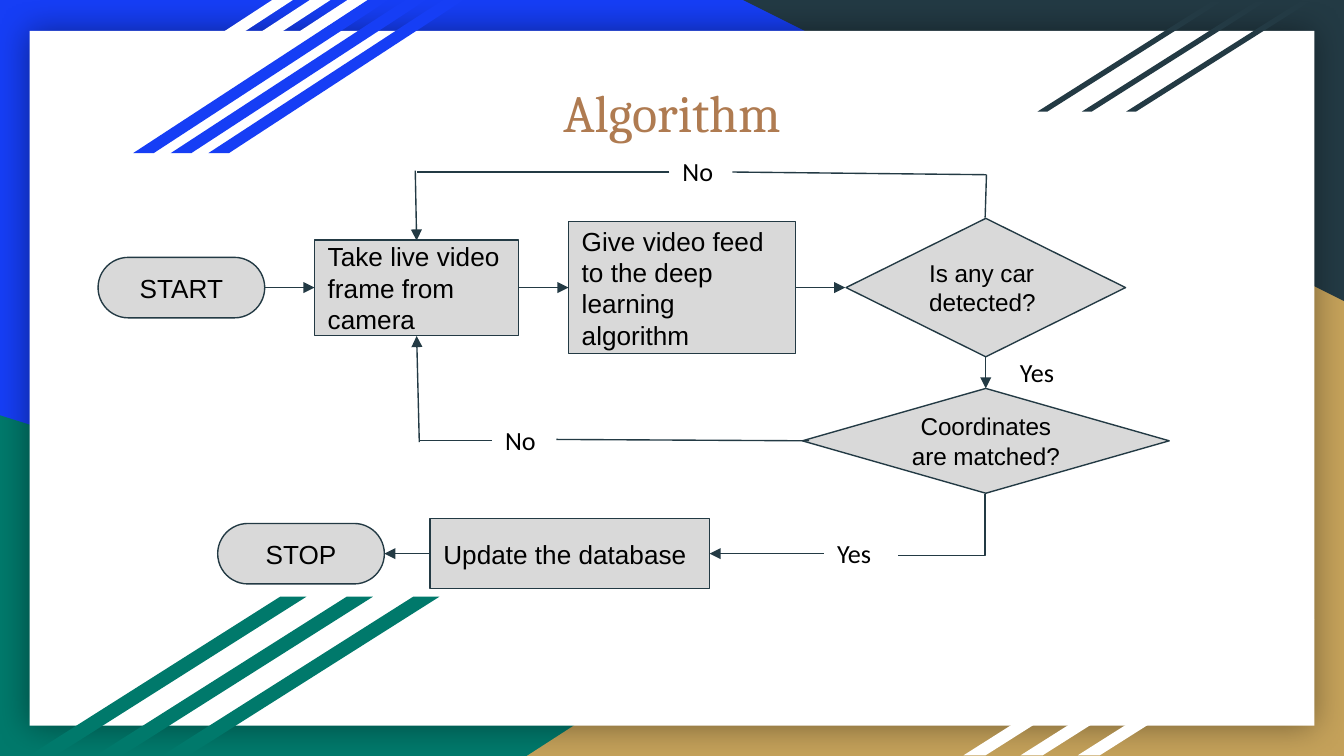
from dataclasses import dataclass

from lxml.etree import SubElement
from pptx import Presentation
from pptx.dml.color import RGBColor
from pptx.enum.shapes import MSO_CONNECTOR, MSO_SHAPE
from pptx.enum.text import MSO_ANCHOR, MSO_AUTO_SIZE, PP_ALIGN
from pptx.oxml.ns import qn
from pptx.shapes.autoshape import Shape
from pptx.shapes.connector import Connector
from pptx.slide import Slide
from pptx.text.text import TextFrame
from pptx.util import Inches, Pt

# Every length is in columns or rows of a square grid, 100 columns wide
COLUMN = Inches(10) // 100
COLUMNS, ROWS = 100, 56.25

COLORS = {
    "blue": "163EF5",
    "green": "00796B",
    "gold": "C4A15A",
    "slate": "233A44",
    "white": "FFFFFF",
    "gray": "D9D9D9",
    "brown": "AF7B51",
    "black": "000000",
}

MAIN_ROW, CHECK_ROW, LAST_ROW = 21.4, 32.8, 41.2
CAMERA_X, DECISION_X = 31.0, 73.35


@dataclass
class Box:
    left: float
    top: float
    width: float
    height: float


@dataclass
class Stripes:
    first: Box
    step: float
    slant: float
    color: str


@dataclass
class Node:
    text: str
    kind: MSO_SHAPE
    center_x: float
    center_y: float
    width: float
    height: float
    size: int = 14
    align: PP_ALIGN = PP_ALIGN.LEFT


@dataclass
class Link:
    start: tuple[float, float]
    end: tuple[float, float]
    arrow: bool = True


@dataclass
class Label:
    text: str
    left: float
    top: float
    width: float


STRIPES = [
    Stripes(Box(2.8, 0, 19, 11.4), 2.8, 1.532, "white"),
    Stripes(Box(9.9, 0, 19, 11.4), 2.8, 1.532, "blue"),
    Stripes(Box(77.2, 0.1, 13.7, 8.2), 3.3, 1.58, "slate"),
    Stripes(Box(71.7, 46.1, 17.6, 10.1), 4.25, 1.58, "white"),
    Stripes(Box(2.2, 44.4, 20.6, 11.8), 4.95, 1.58, "green"),
]

NODES = [
    Node("START", MSO_SHAPE.ROUNDED_RECTANGLE, 13.5, MAIN_ROW, 12.4, 4.5, align=PP_ALIGN.CENTER),
    Node("Take live video frame from camera", MSO_SHAPE.RECTANGLE, CAMERA_X, MAIN_ROW, 15.2, 7.1),
    Node("Give video feed to the deep learning algorithm", MSO_SHAPE.RECTANGLE, 50.75, MAIN_ROW, 16.9, 9.8),
    Node("Is any car detected?", MSO_SHAPE.DIAMOND, DECISION_X, MAIN_ROW, 20.8, 10.3, 13),
    Node("Coordinates are matched?", MSO_SHAPE.DIAMOND, DECISION_X, CHECK_ROW, 27.3, 7.8, 13, PP_ALIGN.CENTER),
    Node("Update the database", MSO_SHAPE.RECTANGLE, 42.4, LAST_ROW, 20.8, 5.2),
    Node("STOP", MSO_SHAPE.ROUNDED_RECTANGLE, 22.4, LAST_ROW, 12.4, 4.5, align=PP_ALIGN.CENTER),
]

LINKS = [
    # Forward flow
    Link((19.7, MAIN_ROW), (23.4, MAIN_ROW)),
    Link((38.6, MAIN_ROW), (42.3, MAIN_ROW)),
    Link((59.2, MAIN_ROW), (62.9, MAIN_ROW)),
    Link((DECISION_X, 26.6), (DECISION_X, 28.9)),
    Link((61.3, LAST_ROW), (52.8, LAST_ROW)),
    Link((32, LAST_ROW), (28.6, LAST_ROW)),
    # Upper loop, no car
    Link((73.3, 16.2), (73.4, 13), arrow=False),
    Link((73.4, 13), (54.5, 12.8), arrow=False),
    Link((49.8, 12.8), (31, 12.8), arrow=False),
    Link((30.9, 12.7), (31, 17.9)),
    # Lower loop, no match
    Link((60.2, 32.8), (41.4, 32.7), arrow=False),
    Link((36.6, 32.8), (31.2, 32.8), arrow=False),
    Link((31.2, 32.9), (31, 25)),
]

LABELS = [
    Label("No", 49.8, 10.6, 4.7),
    Label("No", 36.6, 30.6, 4.7),
    Label("Yes", 61.3, 39, 5.2),
    Label("Yes", 74.9, 25.5, 5.2),
]


def grid(count: float) -> int:
    return round(count * COLUMN)


def color(name: str) -> RGBColor:
    return RGBColor.from_string(COLORS[name])


def corners(box: Box) -> tuple[int, int, int, int]:
    return grid(box.left), grid(box.top), grid(box.width), grid(box.height)


def add_filled(slide: Slide, kind: MSO_SHAPE, box: Box, fill: str) -> Shape:
    shape = slide.shapes.add_shape(kind, *corners(box))
    shape.shadow.inherit = False
    shape.fill.solid()
    shape.fill.fore_color.rgb = color(fill)
    shape.line.fill.background()
    return shape


def write(frame: TextFrame, text: str, font: str, size: int, ink: str, align: PP_ALIGN) -> None:
    frame.word_wrap = True
    frame.margin_left = frame.margin_right = frame.margin_top = frame.margin_bottom = grid(1)
    paragraph = frame.paragraphs[0]
    paragraph.text = text
    paragraph.alignment = align
    paragraph.font.name = font
    paragraph.font.size = Pt(size)
    paragraph.font.color.rgb = color(ink)


def add_background(slide: Slide) -> None:
    slide.background.fill.solid()
    slide.background.fill.fore_color.rgb = color("blue")
    add_filled(slide, MSO_SHAPE.RIGHT_TRIANGLE, Box(0, 30.9, 80.6, 25.35), "green")
    gold = add_filled(slide, MSO_SHAPE.RIGHT_TRIANGLE, Box(39.2, 17, 60.8, 39.25), "gold")
    gold.element.spPr.find(qn("a:xfrm")).set("flipH", "1")
    add_filled(slide, MSO_SHAPE.RIGHT_TRIANGLE, Box(55.3, 0, 44.7, 22.4), "slate").rotation = 180

    # White panel with a soft shadow all round
    panel = add_filled(slide, MSO_SHAPE.RECTANGLE, Box(2.2, 2.3, 95.6, 51.7), "white")
    effects = panel.element.spPr.find(qn("a:effectLst"))
    shadow = SubElement(effects, qn("a:outerShdw"), blurRad=str(Pt(18)), dist="0", algn="ctr", rotWithShape="0")
    shade = SubElement(shadow, qn("a:srgbClr"), val=COLORS["black"])
    SubElement(shade, qn("a:alpha"), val="40000")


def add_stripes(slide: Slide, stripes: Stripes) -> None:
    first = stripes.first
    for index in (2, 1, 0):
        box = Box(first.left + index * stripes.step, first.top, first.width, first.height)
        add_filled(slide, MSO_SHAPE.PARALLELOGRAM, box, stripes.color).adjustments[0] = stripes.slant


def add_title(slide: Slide, text: str) -> None:
    title = slide.shapes.title
    title.left, title.top, title.width, title.height = corners(Box(20.7, 4.4, 58.6, 7.8))
    write(title.text_frame, text, "Cambria", 28, "brown", PP_ALIGN.CENTER)
    title.text_frame.auto_size = MSO_AUTO_SIZE.NONE
    title.text_frame.vertical_anchor = MSO_ANCHOR.MIDDLE
    # Bring the title in front of the panel
    title.element.getparent().append(title.element)


def add_node(slide: Slide, node: Node) -> None:
    box = Box(node.center_x - node.width / 2, node.center_y - node.height / 2, node.width, node.height)
    shape = add_filled(slide, node.kind, box, "gray")
    shape.line.color.rgb = color("slate")
    shape.line.width = Pt(0.75)
    if node.kind == MSO_SHAPE.ROUNDED_RECTANGLE:
        shape.adjustments[0] = 0.5
    shape.text_frame.vertical_anchor = MSO_ANCHOR.MIDDLE
    write(shape.text_frame, node.text, "Arial", node.size, "black", node.align)


def add_link(slide: Slide, link: Link, kind: MSO_CONNECTOR = MSO_CONNECTOR.STRAIGHT) -> Connector:
    connector = slide.shapes.add_connector(kind, *map(grid, link.start + link.end))
    connector.line.color.rgb = color("slate")
    connector.line.width = Pt(0.75)
    if link.arrow:
        SubElement(connector.line._get_or_add_ln(), qn("a:tailEnd"), type="triangle")
    SubElement(connector.element.spPr, qn("a:effectLst"))
    return connector


def add_corner_link(slide: Slide) -> None:
    """Goes down from the second decision, then left to its Yes label."""
    link = Link((67.75, 35.8), (72.35, 42.3), arrow=False)
    properties = add_link(slide, link, MSO_CONNECTOR.ELBOW).element.spPr
    properties.find(qn("a:prstGeom")).set("prst", "bentConnector2")
    properties.find(qn("a:xfrm")).set("rot", str(90 * 60000))


def add_label(slide: Slide, label: Label) -> None:
    text_box = slide.shapes.add_textbox(*corners(Box(label.left, label.top, label.width, 4.4)))
    write(text_box.text_frame, label.text, "Calibri", 14, "black", PP_ALIGN.LEFT)
    text_box.text_frame.auto_size = MSO_AUTO_SIZE.SHAPE_TO_FIT_TEXT


def main() -> None:
    presentation = Presentation()
    presentation.slide_width, presentation.slide_height = grid(COLUMNS), grid(ROWS)
    slide = presentation.slides.add_slide(presentation.slide_layouts[5])

    # Backdrop and title
    add_background(slide)
    for stripes in STRIPES:
        add_stripes(slide, stripes)
    add_title(slide, "Algorithm")

    # Flowchart
    for node in NODES:
        add_node(slide, node)
    for link in LINKS:
        add_link(slide, link)
    add_corner_link(slide)
    for label in LABELS:
        add_label(slide, label)

    presentation.save("out.pptx")


if __name__ == "__main__":
    main()
